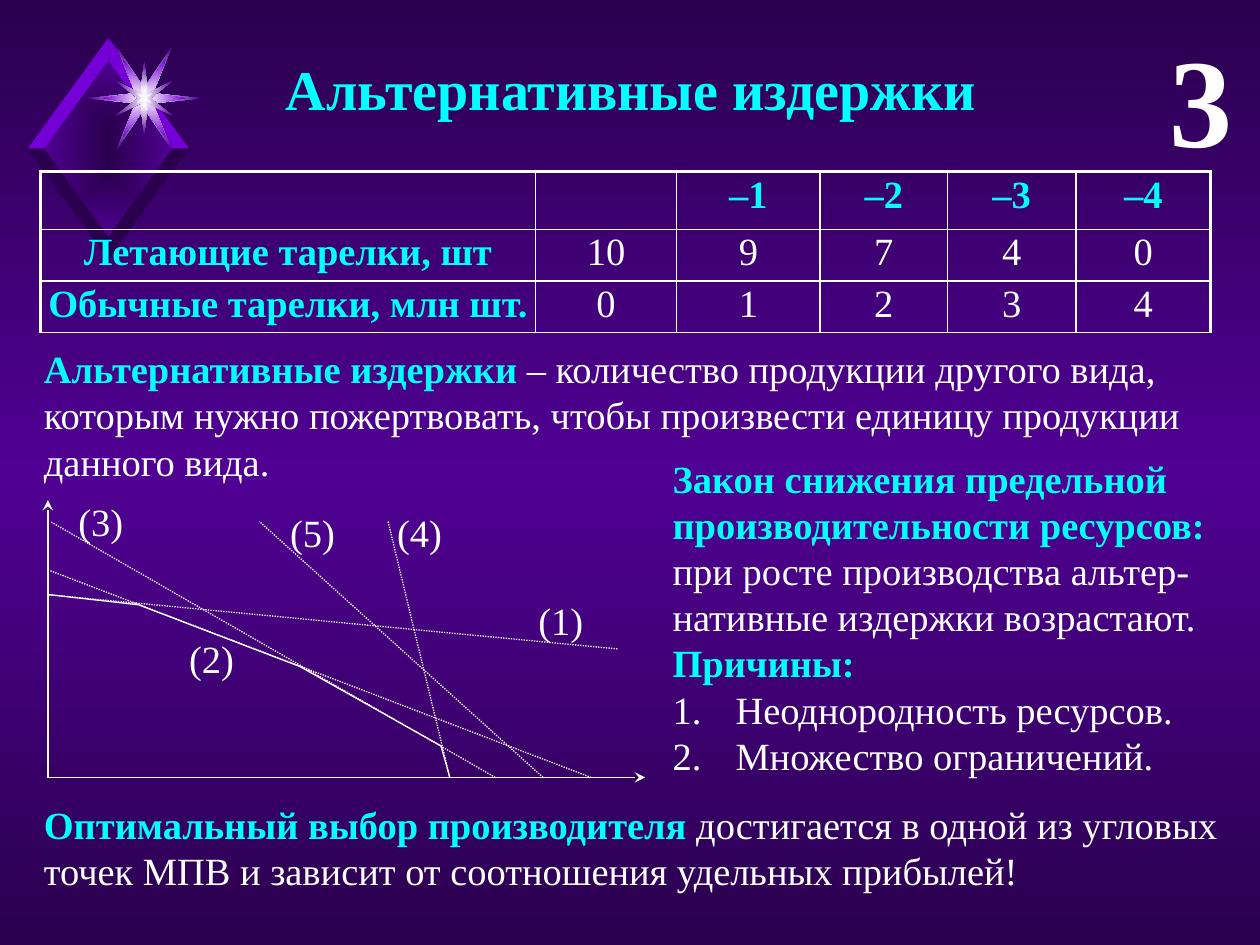
from dataclasses import dataclass

import pptx
import pptx.dml.color
import pptx.enum.dml
import pptx.enum.shapes
import pptx.enum.text
import pptx.oxml
import pptx.oxml.ns
import pptx.util

Inches, Pt = pptx.util.Inches, pptx.util.Pt
ALIGN = pptx.enum.text.PP_ALIGN
NS = pptx.oxml.ns.nsdecls("a")
WHITE, CYAN, DARK, MID, LIGHT = "FFFFFF", "00FFFF", "2A004E", "500093", "7500D7"
CENTER = '<a:path path="rect"><a:fillToRect l="50000" t="50000" r="50000" b="50000"/></a:path>'
DOWN = '<a:lin ang="5400000" scaled="0"/>'


@dataclass
class Line:
    start: tuple[float, float]
    end: tuple[float, float]
    dotted: bool = False
    arrow: str = ""


@dataclass
class Star:
    """Points of one quarter, from the top to the right, about the center."""
    quarter: list[tuple[float, float]]
    fill: list[str]


def color(code: str) -> pptx.dml.color.RGBColor:
    return pptx.dml.color.RGBColor.from_string(code)


def put(para, text: str, *, size: float = 22, tint: str = WHITE,
        bold: bool = False, align=None) -> None:
    """Add one run to a paragraph."""
    if align is not None:
        para.alignment = align
    run = para.add_run()
    run.text = text
    font = run.font
    font.name, font.size, font.bold = "Times New Roman", Pt(size), bold
    font.color.rgb = color(tint)


def frame(slide, left: float, top: float, width: float, height: float,
          inset: tuple[float, float] = (0.1, 0.05)):
    box = slide.shapes.add_textbox(*map(Inches, (left, top, width, height)))
    body = box.text_frame
    body.word_wrap = True
    body.margin_left = body.margin_right = Inches(inset[0])
    body.margin_top = body.margin_bottom = Inches(inset[1])
    return body


def blend(fill, root, tints: list[str], shade: str) -> None:
    """Give a fill evenly spaced gradient stops."""
    fill.gradient()
    stops = "".join(
        f'<a:gs pos="{100000 * i // (len(tints) - 1)}"><a:srgbClr val="{tint}"/></a:gs>'
        for i, tint in enumerate(tints))
    old = root.xpath(".//a:gradFill")[0]
    new = pptx.oxml.parse_xml(
        f'<a:gradFill {NS} rotWithShape="1"><a:gsLst>{stops}</a:gsLst>{shade}</a:gradFill>')
    old.getparent().replace(old, new)


def outline(slide, mid: tuple[float, float], points, fill: list[str]) -> None:
    """Draw a closed shape from points about a center."""
    spots = [(Inches(mid[0] + x), Inches(mid[1] + y)) for x, y in points]
    maker = slide.shapes.build_freeform(*spots[0], scale=1.0)
    maker.add_line_segments(spots[1:], close=True)
    shape = maker.convert_to_shape()
    shape.shadow.inherit = False
    shape.line.fill.background()
    if len(fill) > 1:
        blend(shape.fill, shape.element, fill, CENTER)
    else:
        shape.fill.solid()
        shape.fill.fore_color.rgb = color(fill[0])


def emblem(slide) -> None:
    gem, glow = (0.86, 1.18), (1.145, 0.78)
    outline(slide, gem, [(0, -0.71), (-0.52, 0), (0, 0.71), (0.52, 0)], [DARK, MID])
    for down, tint in ((-1, LIGHT), (1, DARK)):
        for side in (1, -1):
            outline(slide, gem, [(0, 0.7 * down), (0, 0.88 * down),
                                 (0.64 * side, 0), (0.51 * side, 0)], [tint])
    stars = [
        Star([(0, 0.08), (0.22, 0.41), (0.07, 0.04), (0.45, 0)], [WHITE, MID]),
        Star([(0, 0.08), (0.17, 0.31), (0.07, 0.04), (0.33, 0)], [WHITE, LIGHT]),
        Star([(0, 0.29), (0.03, 0.04), (0.23, 0.14), (0.05, 0)], [WHITE, MID]),
        Star([(0, 0.07), (0.01, 0.02), (0.06, 0.04), (0.02, 0)], ["F9F9F9"]),
    ]
    for star in stars:
        there, back = star.quarter[:3], star.quarter[:0:-1]
        turns = ((1, -1, there), (1, 1, back), (-1, 1, there), (-1, -1, back))
        outline(slide, glow, [(x * a, y * b) for a, b, part in turns for x, y in part],
                star.fill)


def edge(cell, sides: dict[str, float]) -> None:
    """Set cell borders, widths in points, in the order L, R, T, B."""
    props = cell._tc.get_or_add_tcPr()
    for i, (side, width) in enumerate(sides.items()):
        props.insert(i, pptx.oxml.parse_xml(
            f'<a:ln{side} {NS} w="{Pt(width)}"><a:solidFill>'
            f'<a:srgbClr val="{WHITE}"/></a:solidFill></a:ln{side}>'))


def grid(slide) -> None:
    data = [["", "", "–1", "–2", "–3", "–4"],
            ["Летающие тарелки, шт", "10", "9", "7", "4", "0"],
            ["Обычные тарелки, млн шт.", "0", "1", "2", "3", "4"]]
    widths, heights = [3.93, 1.12, 1.14, 1.01, 1.02, 1.07], [0.46, 0.41, 0.41]
    table = slide.shapes.add_table(
        3, 6, *map(Inches, (0.32, 1.36, sum(widths), sum(heights)))).table
    table.first_row = table.horz_banding = False
    for col, width in zip(table.columns, widths):
        col.width = Inches(width)
    for row, height in zip(table.rows, heights):
        row.height = Inches(height)
    for r, row in enumerate(data):
        for c, text in enumerate(row):
            cell = table.cell(r, c)
            cell.margin_left = cell.margin_right = Inches(0.02)
            cell.margin_top = cell.margin_bottom = Inches(0.02)
            cell.fill.background()
            edge(cell, {"L": 2.25 if c == 0 else 1, "R": 2.25 if c == 5 else 1,
                        "T": 2.25 if r == 0 else 1, "B": 1})
            if text:
                head = r == 0 or c == 0
                put(cell.text_frame.paragraphs[0], text, bold=head,
                    tint=CYAN if head else WHITE, align=ALIGN.CENTER)


def draw(slide, line: Line) -> None:
    link = slide.shapes.add_connector(
        pptx.enum.shapes.MSO_CONNECTOR.STRAIGHT, *map(Inches, line.start + line.end))
    link.line.width = Pt(0.75)
    link.line.color.rgb = color(WHITE)
    if line.dotted:
        link.line.dash_style = pptx.enum.dml.MSO_LINE.ROUND_DOT
    if line.arrow:
        link.line._get_or_add_ln().append(
            pptx.oxml.parse_xml(f'<a:{line.arrow} {NS} type="stealth"/>'))
    link.element.spPr.append(pptx.oxml.parse_xml(f"<a:effectLst {NS}/>"))


def graph(slide) -> None:
    bends = [(0.39, 4.72), (1.1, 4.8), (2.38, 5.29), (3.5, 5.92), (3.57, 6.17)]
    lines = [
        Line((0.38, 3.97), (0.38, 6.17), arrow="headEnd"),
        Line((0.37, 6.17), (5.12, 6.17), arrow="tailEnd"),
        Line((0.4, 4.53), (4.69, 6.17), dotted=True),
        Line((4.31, 6.17), (2.06, 4.14), dotted=True),
        Line((3.08, 4.14), (3.57, 6.17), dotted=True),
        Line((4.9, 5.15), (0.38, 4.72), dotted=True),
        Line((3.93, 6.17), (0.4, 4.14), dotted=True),
    ] + [Line(a, b) for a, b in zip(bends, bends[1:])]
    for line in lines:
        draw(slide, line)
    spots = [(4.22, 4.73), (1.45, 5.03), (0.57, 3.94), (3.1, 4.03), (2.25, 4.03)]
    for i, (left, top) in enumerate(spots, 1):
        body = frame(slide, left, top, 0.46, 0.35, inset=(0.01, 0.01))
        put(body.paragraphs[0], f"({i})", align=ALIGN.CENTER)


def notion(slide, place: tuple, term: str, rest: str):
    """Write a bold term and its plain text."""
    body = frame(slide, *place)
    put(body.paragraphs[0], term, tint=CYAN, bold=True)
    put(body.paragraphs[0], rest)
    return body


def main() -> None:
    deck = pptx.Presentation()
    deck.slide_width, deck.slide_height = Inches(10), Inches(7.5)
    slide = deck.slides.add_slide(deck.slide_layouts[5])
    blend(slide.background.fill, slide.element, [DARK, MID, DARK], DOWN)
    emblem(slide)

    title = slide.shapes.title
    title.left, title.top, title.width, title.height = map(Inches, (0.2, 0.38, 9.62, 0.64))
    title.text_frame.vertical_anchor = pptx.enum.text.MSO_ANCHOR.TOP
    title.text_frame.auto_size = pptx.enum.text.MSO_AUTO_SIZE.NONE
    put(title.text_frame.paragraphs[0], "Альтернативные издержки", size=32,
        tint=CYAN, bold=True, align=ALIGN.CENTER)
    put(frame(slide, 8.63, 0.12, 1.25, 1.31).paragraphs[0], "3", size=72,
        bold=True, align=ALIGN.RIGHT)

    notion(slide, (0.25, 2.69, 9.52, 1.21), "Альтернативные издержки ",
           "– количество продукции другого вида, которым нужно пожертвовать, "
           "чтобы произвести единицу продукции данного вида.")
    grid(slide)
    law = notion(slide, (5.24, 3.56, 4.53, 2.69),
                 "Закон снижения предельной производительности ресурсов:",
                 " при росте производства альтер-нативные издержки возрастают.")
    put(law.add_paragraph(), "Причины:", tint=CYAN, bold=True)
    for cause in ("Неоднородность ресурсов.", "Множество ограничений."):
        para = law.add_paragraph()
        props = para._p.get_or_add_pPr()
        props.set("marL", str(Inches(0.5)))
        props.set("indent", str(-Inches(0.5)))
        props.append(pptx.oxml.parse_xml(f'<a:buAutoNum {NS} type="arabicPeriod"/>'))
        put(para, cause)
    graph(slide)
    notion(slide, (0.25, 6.31, 9.63, 0.84), "Оптимальный выбор производителя ",
           "достигается в одной из угловых точек МПВ и зависит от соотношения "
           "удельных прибылей!")
    deck.save("out.pptx")


if __name__ == "__main__":
    main()
